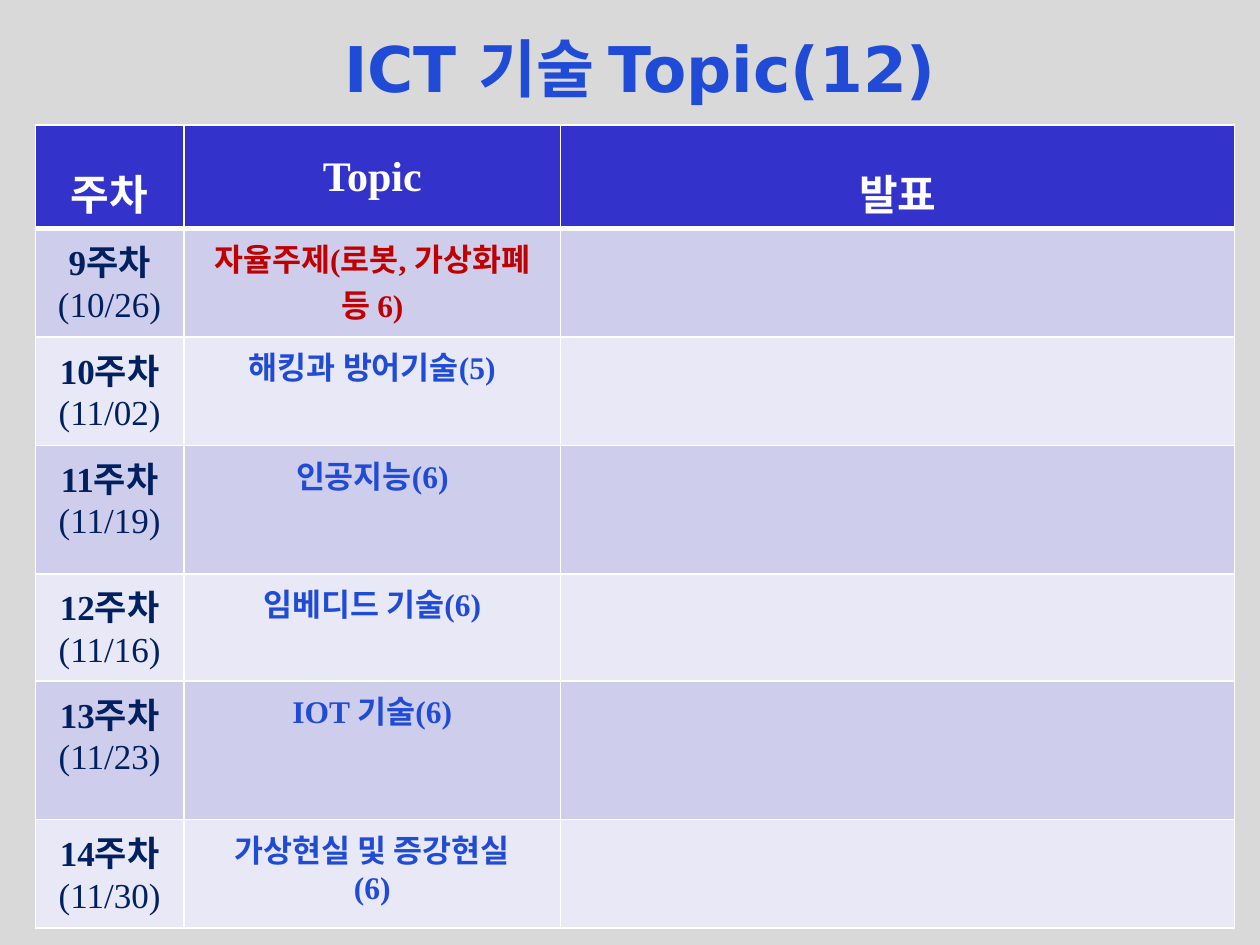
from dataclasses import dataclass

from lxml.etree import SubElement
from pptx import Presentation
from pptx.dml.color import RGBColor
from pptx.enum.text import MSO_ANCHOR, PP_ALIGN
from pptx.oxml.ns import qn
from pptx.util import Inches, Pt


@dataclass(frozen=True)
class Theme:
    background: str = "D9D9D9"
    accent: str = "204BD6"
    highlight: str = "C00000"
    week: str = "002060"
    white: str = "FFFFFF"
    header_fill: str = "3333CC"
    bands: tuple = ("CECEEC", "E8E8F6")
    title_font: str = "DejaVu Sans"
    body_font: str = "Times New Roman"
    title_size: int = 36
    header_size: int = 24
    week_size: int = 20
    topic_size: int = 18
    thin: int = 1
    thick: int = 3


THEME = Theme()
HEADERS = ("주차", "Topic", "발표")
COLUMN_WIDTHS = (1.18, 2.99, 5.35)
HEADER_HEIGHT = 0.74
SCHEDULE = (
    ((("9주차",), ("(10/26)",)), ("자율주제(로봇, 가상화폐 등 6)",), THEME.highlight, 0.86),
    ((("10주차",), ("(11/02)",)), ("해킹과 방어기술(5)",), THEME.accent, 0.86),
    ((("11주차",), ("(11/19)",)), ("인공지능(6)",), THEME.accent, 1.02),
    ((("12주차",), ("(11/16)",)), ("임베디드 기술(6)",), THEME.accent, 0.85),
    ((("13주차", "(11/23)"),), ("IOT 기술(6)",), THEME.accent, 1.1),
    ((("14주차",), ("(11/30)",)), ("가상현실 및 증강현실", "(6)"), THEME.accent, 0.86),
)


def add_span(para, text, font, size, color, bold=True):
    span = para.add_run()
    span.text = text
    for name, value in {"name": font, "size": Pt(size), "bold": bold}.items():
        setattr(span.font, name, value)
    span.font.color.rgb = RGBColor.from_string(color)


def write_cell(cell, lines, size, color, spacing=None):
    box = cell.text_frame
    for index, line in enumerate(lines):
        para = box.paragraphs[0] if index == 0 else box.add_paragraph()
        para.alignment = PP_ALIGN.CENTER
        if spacing:
            para.line_spacing = spacing
        for text in line:
            add_span(para, text, THEME.body_font, size, color, not text.startswith("(1"))


def style_cell(cell, fill, top=THEME.thin, bottom=THEME.thin):
    properties = cell._tc.get_or_add_tcPr()
    widths = {"L": THEME.thin, "R": THEME.thin, "T": top, "B": bottom}
    for side, width in widths.items():
        line = SubElement(properties, qn(f"a:ln{side}"), w=str(Pt(width)))
        solid = SubElement(line, qn("a:solidFill"))
        SubElement(solid, qn("a:srgbClr"), val=THEME.white)
    cell.fill.solid()
    cell.fill.fore_color.rgb = RGBColor.from_string(fill)


def add_title(page, text):
    title = page.shapes.title
    place = {"left": 0.75, "top": 0, "width": 8.66, "height": 1.07}
    for name, value in place.items():
        setattr(title, name, Inches(value))
    title.text_frame.vertical_anchor = MSO_ANCHOR.MIDDLE
    para = title.text_frame.paragraphs[0]
    para.alignment = PP_ALIGN.CENTER
    add_span(para, text, THEME.title_font, THEME.title_size, THEME.accent)


def add_schedule(page):
    heights = [HEADER_HEIGHT] + [entry[-1] for entry in SCHEDULE]
    table = page.shapes.add_table(
        len(heights), len(COLUMN_WIDTHS), Inches(0.28), Inches(0.99),
        Inches(sum(COLUMN_WIDTHS)), Inches(sum(heights)),
    ).table
    for column, width in zip(table.columns, COLUMN_WIDTHS):
        column.width = Inches(width)
    for row, height in zip(table.rows, heights):
        row.height = Inches(height)

    for column, text in enumerate(HEADERS):
        cell = table.cell(0, column)
        write_cell(cell, [(text,)], THEME.header_size, THEME.white, spacing=1.5)
        style_cell(cell, THEME.header_fill, bottom=THEME.thick)

    for row, (week, topic, color, _) in enumerate(SCHEDULE, start=1):
        write_cell(table.cell(row, 0), week, THEME.week_size, THEME.week)
        write_cell(table.cell(row, 1), [(text,) for text in topic], THEME.topic_size, color)
        for column in range(len(COLUMN_WIDTHS)):
            top = THEME.thick if row == 1 else THEME.thin
            style_cell(table.cell(row, column), THEME.bands[(row - 1) % 2], top=top)


def main():
    deck = Presentation()
    deck.slide_width, deck.slide_height = Inches(10), Inches(7.5)
    page = deck.slides.add_slide(deck.slide_layouts[5])
    page.background.fill.solid()
    page.background.fill.fore_color.rgb = RGBColor.from_string(THEME.background)
    add_title(page, "ICT 기술 Topic(12)")
    add_schedule(page)
    deck.save("out.pptx")


if __name__ == "__main__":
    main()
